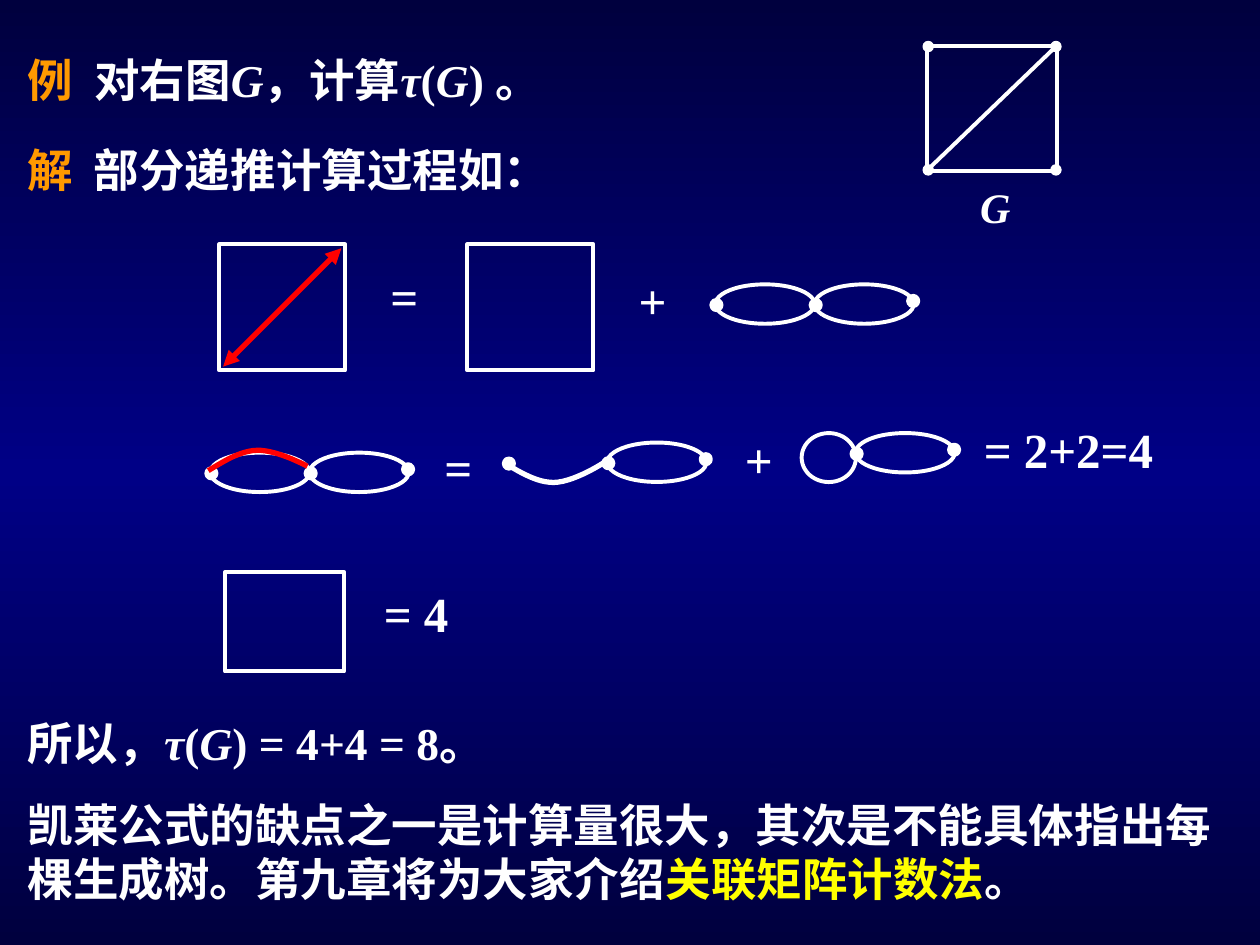
import copy

import lxml.etree
import pptx
import pptx.dml.color
import pptx.enum.shapes
import pptx.enum.text
import pptx.oxml.ns
import pptx.util

Pt = pptx.util.Pt
KIND = pptx.enum.shapes.MSO_SHAPE
WHITE, RED, GOLD, YELLOW = "FFFFFF", "FF0000", "FF9900", "FFFF00"
LENS_W, LENS_H, DOT = 56.7, 22.5, 5.8


def color(code):
    """Turn a hex string into a colour."""
    return pptx.dml.color.RGBColor.from_string(code)


def add(node, tag, **attrs):
    """Append a drawing element to a node."""
    return lxml.etree.SubElement(node, pptx.oxml.ns.qn(tag), attrs)


def stroke(shape, code, width):
    """Set the outline of a shape or line."""
    shape.line.color.rgb = color(code)
    shape.line.width = Pt(width)


def outline(shapes, kind, x, y, w, h):
    """Draw a hollow white shape."""
    shape = shapes.add_shape(kind, Pt(x), Pt(y), Pt(w), Pt(h))
    shape.shadow.inherit = False
    shape.fill.background()
    stroke(shape, WHITE, 2.25)
    return shape


def dot(shapes, x, y, width=2.25):
    """Draw a vertex centred on a point."""
    shape = outline(shapes, KIND.OVAL, x - DOT / 2, y - DOT / 2, DOT, DOT)
    shape.fill.solid()
    shape.fill.fore_color.rgb = color(WHITE)
    stroke(shape, WHITE, width)


def edge(shapes, x1, y1, x2, y2, code, width, arrows=False):
    """Draw a straight edge, with arrowheads on request."""
    kind = pptx.enum.shapes.MSO_CONNECTOR.STRAIGHT
    line = shapes.add_connector(kind, Pt(x1), Pt(y1), Pt(x2), Pt(y2))
    stroke(line, code, width)
    props = line.element.spPr
    if arrows:
        for tag in ("a:headEnd", "a:tailEnd"):
            add(props.find(pptx.oxml.ns.qn("a:ln")), tag, type="triangle")
    add(props, "a:effectLst")


def curve(shapes, x, y, rise, code, turn=0):
    """Draw a bent edge of one lens width from two cubic pieces."""
    pieces = (
        ((0, 0), (9.4, 0.5), (18.7, 1), (28.1, 1)),
        ((28.1, 1), (38.2, 1), (53.3, 0.2), (LENS_W, 0)),
    )
    points = []
    for piece in pieces:
        for step in range(13):
            t = step / 12
            parts = ((1 - t) ** 3, 3 * t * (1 - t) ** 2, 3 * t * t * (1 - t), t ** 3)
            across = sum(k * p[0] for k, p in zip(parts, piece))
            down = sum(k * p[1] for k, p in zip(parts, piece))
            points.append((Pt(x + across), Pt(y + rise * down)))
    pen = shapes.build_freeform(*points[0])
    pen.add_line_segments(points[1:], close=False)
    shape = pen.convert_to_shape()
    shape.shadow.inherit = False
    shape.fill.background()
    stroke(shape, code, 3)
    shape.rotation = turn


def lens(shapes, x, y, end=True):
    """Draw two parallel edges with their vertices."""
    outline(shapes, KIND.OVAL, x, y, LENS_W, LENS_H)
    dot(shapes, x + 0.6, y + 11.8)
    if end:
        dot(shapes, x + LENS_W - 0.4, y + 9.5)


def chain(shapes, x, y):
    """Draw two lenses that share a vertex."""
    lens(shapes, x, y, end=False)
    lens(shapes, x + LENS_W, y)


def write(frame, runs, size=26, tab=None):
    """Fill a frame with one paragraph of (text, colour, italic) runs."""
    para = frame.paragraphs[0]
    para.alignment = pptx.enum.text.PP_ALIGN.LEFT
    para.space_before = Pt(0)
    para.line_spacing = 1.0
    if tab:
        stops = add(para._p.get_or_add_pPr(), "a:tabLst")
        add(stops, "a:tab", pos=str(Pt(tab)), algn="l")
    para.font.name = "Times New Roman"
    para.font.size = Pt(size)
    para.font.bold = True
    for text, code, slant in runs:
        run = para.add_run()
        run.text = text
        run.font.color.rgb = color(code)
        run.font.italic = slant
    return para


def label(shapes, text, x, y, w=30.5, size=28, slant=False):
    """Write a short sign on one line."""
    box = shapes.add_textbox(Pt(x), Pt(y), Pt(w), Pt(41))
    box.text_frame.word_wrap = False
    write(box.text_frame, [(text, WHITE, slant)], size)


def place(shape, x, y, w, h):
    """Move a text holder and anchor its text at the top."""
    shape.left, shape.top, shape.width, shape.height = Pt(x), Pt(y), Pt(w), Pt(h)
    frame = shape.text_frame
    frame.word_wrap = True
    frame.auto_size = pptx.enum.text.MSO_AUTO_SIZE.NONE
    frame.vertical_anchor = pptx.enum.text.MSO_ANCHOR.TOP
    return frame


def backdrop(slide):
    """Paint the blue gradient."""
    fill = slide.background.fill
    fill.gradient()
    stops = slide.element.find(".//" + pptx.oxml.ns.qn("a:gsLst"))
    stops.insert(1, copy.deepcopy(stops[0]))
    for stop, spot, code in zip(fill.gradient_stops, (0, 0.5, 1), ("00003E", "000086", "00003E")):
        stop.position = spot
        stop.color.rgb = color(code)
    fill.gradient_angle = 90


def task(slide, x, y, w):
    """Write the example in the title and the lead-in below it."""
    runs = [("例\t", GOLD, False), ("对右图", WHITE, False), ("G", WHITE, True),
            ("，计算", WHITE, False), ("τ", WHITE, True), ("(", WHITE, False),
            ("G", WHITE, True), (") 。", WHITE, False)]
    write(place(slide.shapes.title, x, y, w, 39), runs, tab=38)
    box = slide.shapes.add_textbox(0, 0, 0, 0)
    runs = [("解\t", GOLD, False), ("部分递推计算过程如：", WHITE, False)]
    write(place(box, x, y + 45.4, w, 45), runs, tab=38).line_spacing = 1.2


def graph(slide, x, y, w, h):
    """Draw the graph G with its name."""
    shapes = slide.shapes.add_group_shape().shapes
    outline(shapes, KIND.RECTANGLE, x, y, w, h)
    label(shapes, "G", x + 23.4, y + 73.9, 31.7, 24, True)
    edge(shapes, x + w, y, x, y + h, WHITE, 2.25)
    for across in (x + 0.8, x + w - 0.4):
        for down in (y + 0.4, y + h - 0.4):
            dot(shapes, across, down, 0.75)


def split(slide, x, y, side):
    """Draw the first step, which splits on the diagonal."""
    shapes = slide.shapes.add_group_shape().shapes
    for left in (x, x + 141.8):
        outline(shapes, KIND.RECTANGLE, left, y, side, side)
    edge(shapes, x + 2.2, y + side - 2.2, x + side - 2.2, y + 2.2, RED, 3, True)
    chain(shapes, x + 283.5, y + 22.8)
    label(shapes, "=", x + 90.7, y + 8.9)
    label(shapes, "+", x + 232.6, y + 11.5)


def step(slide, x, y):
    """Draw the second step, which splits on one bent edge."""
    shapes = slide.shapes.add_group_shape().shapes
    chain(shapes, x, y + 11)
    curve(shapes, x - 1.4, y + 20, -10.4, RED, -2.5)
    lens(shapes, x + 226.8, y + 5.2)
    dot(shapes, x + 170.6, y + 17.2)
    curve(shapes, x + 168, y + 16.8, 11.2, WHITE)
    outline(shapes, KIND.OVAL, x + 337.9, y - 0.2, 31, 28)
    lens(shapes, x + 368.7, y - 0.2)
    label(shapes, "=", x + 126.7, y - 1.4)
    label(shapes, "+", x + 298.4, y - 5.8)
    label(shapes, "= 2+2=4", x + 434.9, y - 11.5, 111)


def cycle(slide, x, y, w, h):
    """Draw the cycle and its count."""
    shapes = slide.shapes.add_group_shape().shapes
    outline(shapes, KIND.RECTANGLE, x, y, w, h)
    label(shapes, "= 4", x + 83.7, y + 3, 51.2)


def close(slide, x, y, w):
    """Write the result and put the remark in the body."""
    box = slide.shapes.add_textbox(0, 0, 0, 0)
    runs = [("所以，", WHITE, False), ("τ", WHITE, True), ("(", WHITE, False),
            ("G", WHITE, True), (") = 4+4 = 8。", WHITE, False)]
    write(place(box, x, y, 319, 39), runs)
    body = slide.placeholders[1]
    runs = [("凯莱公式的缺点之一是计算量很大，其次是不能具体指出每棵生成树。第九章将为大家介绍", WHITE, False),
            ("关联矩阵计数法", YELLOW, False), ("。", WHITE, False)]
    props = write(place(body, x, y + 46.8, w, 70), runs)._p.get_or_add_pPr()
    props.set("marL", "0")
    props.set("indent", "0")
    props.insert_element_before(lxml.etree.Element(pptx.oxml.ns.qn("a:buNone")), "a:tabLst", "a:defRPr")


def main():
    """Build and save the slide."""
    deck = pptx.Presentation()
    deck.slide_width, deck.slide_height = Pt(720), Pt(540)
    slide = deck.slides.add_slide(deck.slide_layouts[1])
    backdrop(slide)
    task(slide, 8.6, 25.9, 442)
    split(slide, 125.3, 139.7, 72)
    step(slide, 120.2, 247.7)
    cycle(slide, 128.6, 326.8, 68, 56.9)
    close(slide, 8.6, 404.9, 692)
    graph(slide, 529.6, 26.2, 74.2, 71.3)
    deck.save("out.pptx")


if __name__ == "__main__":
    main()
